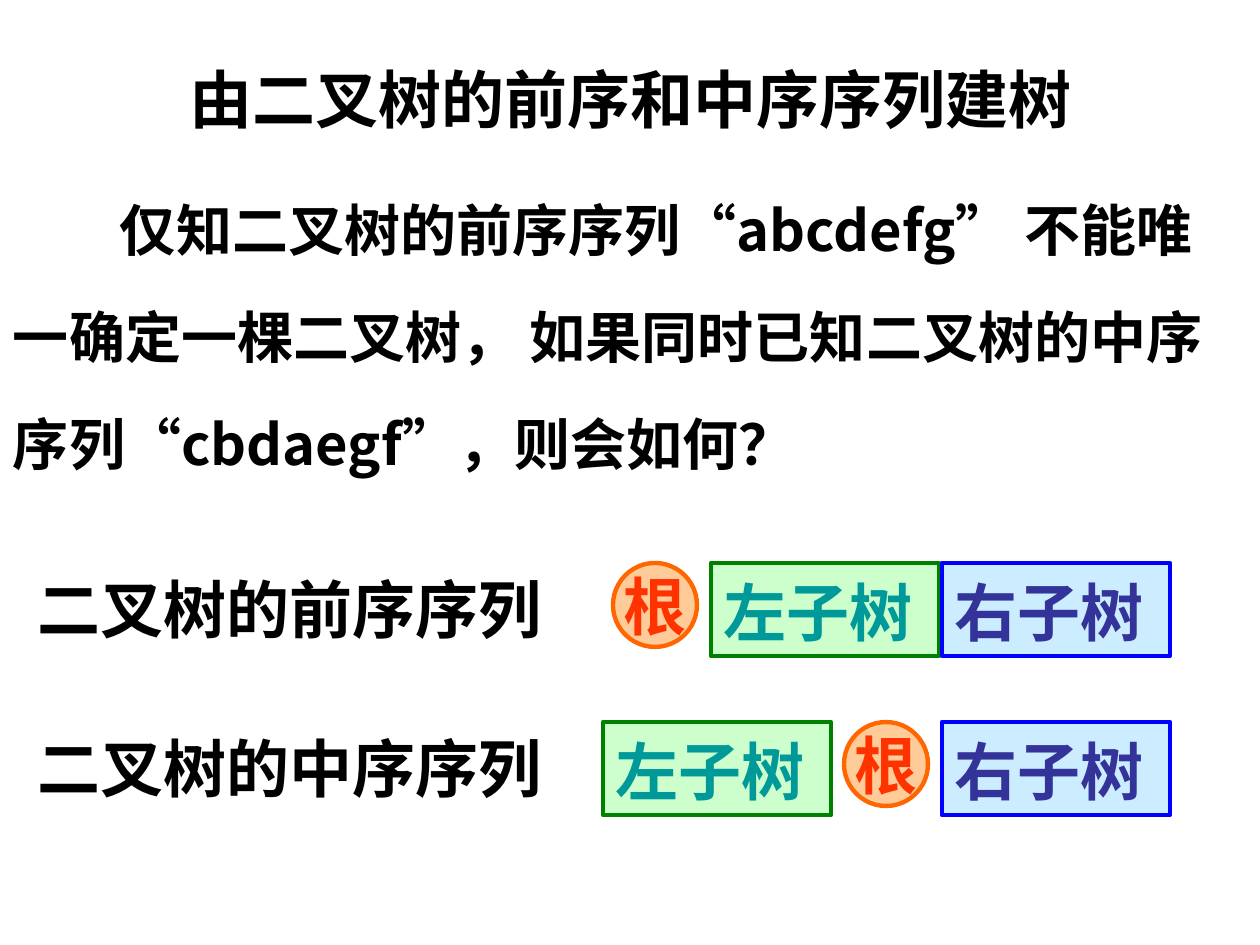
from lxml.etree import SubElement
from pptx import Presentation
from pptx.dml.color import RGBColor
from pptx.enum.lang import MSO_LANGUAGE_ID
from pptx.enum.shapes import MSO_SHAPE
from pptx.enum.text import MSO_ANCHOR, MSO_AUTO_SIZE, PP_ALIGN
from pptx.oxml.ns import qn
from pptx.util import Emu, Pt

COLORS = {
    "text": "000000",
    "root_fill": "FFCC99", "root_line": "FF6600", "root_text": "FF3300",
    "left_fill": "CCFFCC", "left_line": "008000", "left_text": "009999",
    "right_fill": "CCECFF", "right_line": "0000FF", "right_text": "333399",
}
SANS, SERIF = "Noto Sans CJK SC", "Times New Roman"


def px(*lengths):
    return [Emu(round(length * 914400 / 126)) for length in lengths]


def write(shape, text, size, font, color, align=PP_ALIGN.LEFT, spacing=None):
    frame = shape.text_frame
    frame.auto_size = MSO_AUTO_SIZE.NONE
    frame.word_wrap = True
    frame.vertical_anchor = MSO_ANCHOR.TOP
    frame.margin_left, frame.margin_top, frame.margin_right, frame.margin_bottom = px(13, 6, 13, 6)
    paragraph = frame.paragraphs[0]
    paragraph.alignment = align
    paragraph.space_before = Pt(0)
    if spacing:
        paragraph.line_spacing = Pt(spacing)
    run = paragraph.add_run()
    run.text = text
    run.font.size = Pt(size)
    run.font.bold = True
    run.font.name = font
    run.font.color.rgb = RGBColor.from_string(COLORS[color])
    run.font.language_id = MSO_LANGUAGE_ID.SIMPLIFIED_CHINESE
    SubElement(run.font._element, qn("a:ea")).set("typeface", SANS)
    return paragraph


presentation = Presentation()
presentation.slide_width, presentation.slide_height = px(1260, 945)
slide = presentation.slides.add_slide(presentation.slide_layouts[1])
title, body = slide.placeholders

# Title
title.left, title.top, title.width, title.height = px(0, 50, 1260, 90)
write(title, "由二叉树的前序和中序序列建树", 36, SANS, "text", PP_ALIGN.CENTER, 46)

# Question, with an indented first line
body.left, body.top, body.width, body.height = px(0, 140, 1260, 344)
question = write(
    body,
    "仅知二叉树的前序序列“abcdefg” 不能唯一确定一棵二叉树， "
    "如果同时已知二叉树的中序序列“cbdaegf”，则会如何？",
    32, SANS, "text", spacing=61)
body.text_frame.margin_top = px(16)[0]
properties = question._p.get_or_add_pPr()
properties.set("marL", "0")
properties.set("indent", str(px(107)[0]))
SubElement(properties, qn("a:buNone"))

# Traversal orders: label, top of the parts, and each part with its left edge
ROWS = [
    ("二叉树的前序序列", 563, [("left", 711), ("right", 942), ("root", 613)]),
    ("二叉树的中序序列", 722, [("left", 603), ("right", 942), ("root", 844)]),
]
PARTS = {
    "left": ("左子树", MSO_SHAPE.RECTANGLE, 228, 93),
    "right": ("右子树", MSO_SHAPE.RECTANGLE, 228, 93),
    "root": ("根", MSO_SHAPE.OVAL, 84, 84),
}
for label, top, parts in ROWS:
    label_box = slide.shapes.add_textbox(*px(25, top - 10, 1235, 96))
    write(label_box, label, 36, SERIF, "text", spacing=50)

    for part, left in parts:
        text, outline, width, height = PARTS[part]
        shape = slide.shapes.add_shape(outline, *px(left, top, width, height))
        shape.shadow.inherit = False
        shape.fill.solid()
        shape.fill.fore_color.rgb = RGBColor.from_string(COLORS[part + "_fill"])
        shape.line.color.rgb = RGBColor.from_string(COLORS[part + "_line"])
        shape.line.width = Pt(2.5)
        if part == "root":
            write(shape, text, 36, SERIF, "root_text", PP_ALIGN.CENTER)
            shape.text_frame.word_wrap = False
            shape.text_frame.vertical_anchor = MSO_ANCHOR.MIDDLE
        else:
            write(shape, text, 36, SERIF, part + "_text", spacing=46)

presentation.save("out.pptx")
